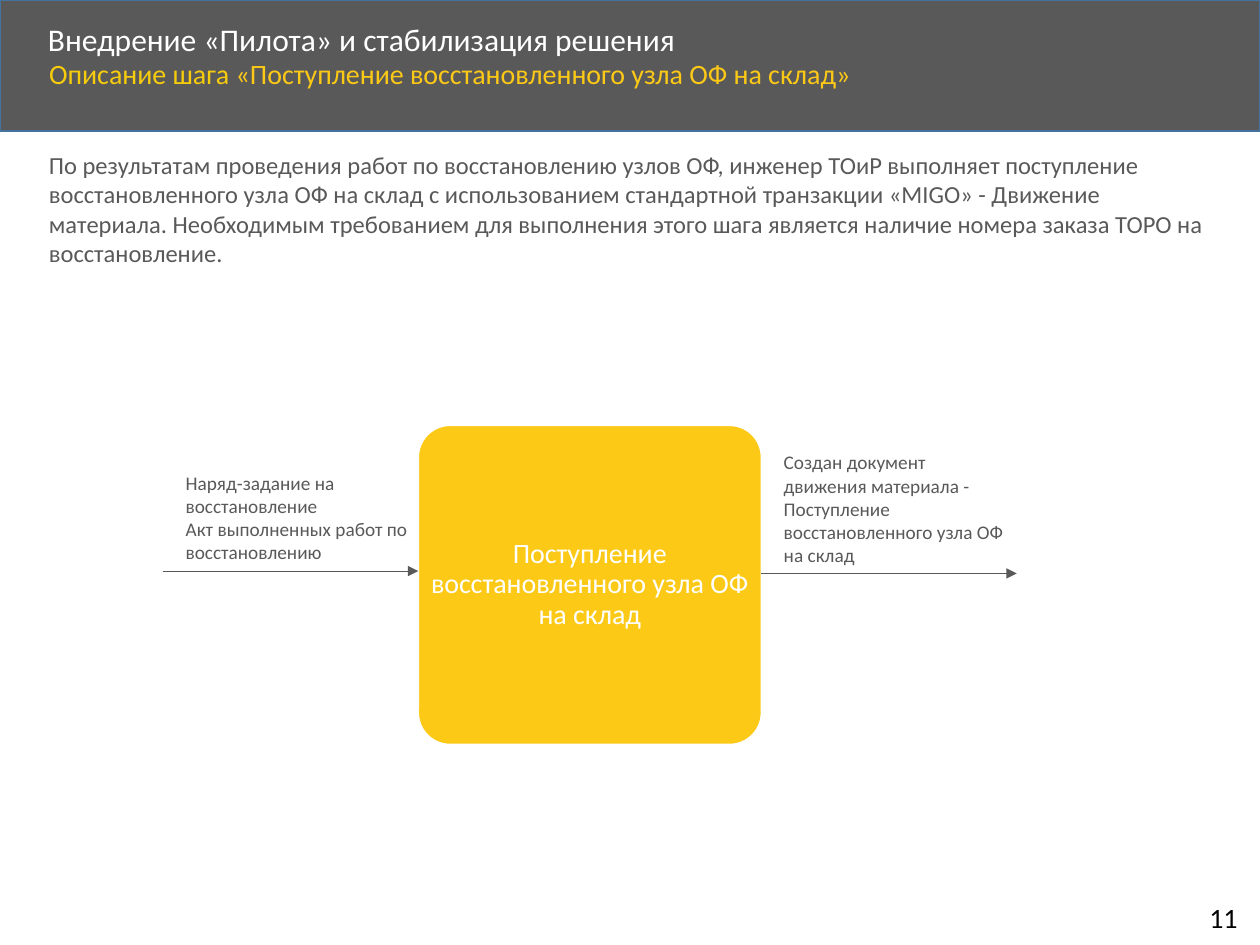
from lxml import etree
from pptx import Presentation
from pptx.dml.color import RGBColor
from pptx.enum.shapes import MSO_CONNECTOR as Connector, MSO_SHAPE as Shape
from pptx.enum.text import MSO_ANCHOR as Anchor, MSO_AUTO_SIZE as AutoSize, PP_ALIGN as Align
from pptx.oxml.ns import qn
from pptx.util import Pt

GRAY, YELLOW, WHITE, BLACK = "595959", "FCC917", "FFFFFF", "000000"


def color(hex_code):
    return RGBColor.from_string(hex_code)


def place(shape, left, top, width, height):
    shape.left, shape.top = Pt(left), Pt(top)
    shape.width, shape.height = Pt(width), Pt(height)


def style(para, size, hex_code, align=Align.LEFT, spacing=1.0):
    para.alignment = align
    para.line_spacing = spacing
    para.space_before = Pt(0)
    para.font.name = "Calibri"
    para.font.size = Pt(size)
    para.font.color.rgb = color(hex_code)


def add_block(page, kind, bounds, fill, line):
    block = page.shapes.add_shape(kind, *map(Pt, bounds))
    block.shadow.inherit = False
    block.fill.solid()
    block.fill.fore_color.rgb = color(fill)
    block.line.color.rgb = color(line)
    block.line.width = Pt(1)
    return block


def add_band(page):
    band = add_block(page, Shape.RECTANGLE, (0, 0, 720, 74.9), GRAY, "43739E")
    band.element.getparent().insert(2, band.element)


def add_heading(page):
    title, subtitle = page.placeholders
    place(title, 20.2, 10, 581, 27.4)
    place(subtitle, 20.9, 31, 624, 32.4)
    for box, anchor in ((title, Anchor.MIDDLE), (subtitle, Anchor.TOP)):
        box.text_frame.auto_size = AutoSize.NONE
        box.text_frame.vertical_anchor = anchor

    title.text_frame.text = "Внедрение «Пилота» и стабилизация решения"
    style(title.text_frame.paragraphs[0], 18, WHITE, spacing=0.9)

    para = subtitle.text_frame.paragraphs[0]
    properties = para._p.get_or_add_pPr()
    properties.set("marL", "0")
    properties.set("indent", "0")
    etree.SubElement(properties, qn("a:buNone"))
    style(para, 16, YELLOW, spacing=0.9)
    lead = para.add_run()
    lead.text = "Описание шага "
    lead.font.color.rgb = color("F6CC0C")
    para.add_run().text = "«Поступление восстановленного узла ОФ на склад»"


def add_text(page, bounds, lines, size, hex_code=GRAY, wrap=True):
    box = page.shapes.add_textbox(*map(Pt, bounds))
    frame = box.text_frame
    frame.word_wrap = wrap
    frame.text = "\n".join(lines)
    for para in frame.paragraphs:
        style(para, size, hex_code)


def add_step(page, bounds, text):
    step = add_block(page, Shape.ROUNDED_RECTANGLE, bounds, YELLOW, WHITE)
    step.adjustments[0] = 0.1
    frame = step.text_frame
    frame.word_wrap = True
    frame.vertical_anchor = Anchor.MIDDLE
    frame.margin_left = frame.margin_right = frame.margin_top = frame.margin_bottom = 0
    frame.text = text
    style(frame.paragraphs[0], 16, WHITE, Align.CENTER, 0.9)


def add_arrow(page, left, top, length):
    arrow = page.shapes.add_connector(
        Connector.STRAIGHT, Pt(left), Pt(top), Pt(left + length), Pt(top))
    arrow.line.color.rgb = color(GRAY)
    arrow.line.width = Pt(0.5)
    etree.SubElement(arrow.line._get_or_add_ln(), qn("a:tailEnd"), type="triangle")
    etree.SubElement(arrow.element.spPr, qn("a:effectLst"))


def main():
    deck = Presentation()
    deck.slide_width, deck.slide_height = Pt(720), Pt(540)
    page = deck.slides.add_slide(deck.slide_layouts[1])

    add_band(page)
    add_heading(page)
    add_text(page, (20.9, 82.1, 681, 75), [
        "По результатам проведения работ по восстановлению узлов ОФ, инженер ТОиР "
        "выполняет поступление восстановленного узла ОФ на склад с использованием "
        "стандартной транзакции «MIGO» - Движение материала. Необходимым требованием "
        "для выполнения этого шага является наличие номера заказа ТОРО на восстановление.",
    ], 14)

    add_step(page, (239, 243, 196.2, 182.5), "Поступление восстановленного узла ОФ на склад")
    add_arrow(page, 93, 326.3, 146)
    add_text(page, (99, 265.7, 144, 60.5), [
        "Наряд-задание на восстановление",
        "Акт выполненных работ по восстановлению",
    ], 11)
    add_arrow(page, 435, 327.7, 146)
    add_text(page, (440.8, 254, 144, 74), [
        "Создан документ движения материала - Поступление восстановленного узла ОФ на склад",
    ], 11)
    add_text(page, (684, 511.2, 33, 26.6), ["11"], 16, BLACK, wrap=False)

    deck.save("out.pptx")


if __name__ == "__main__":
    main()
